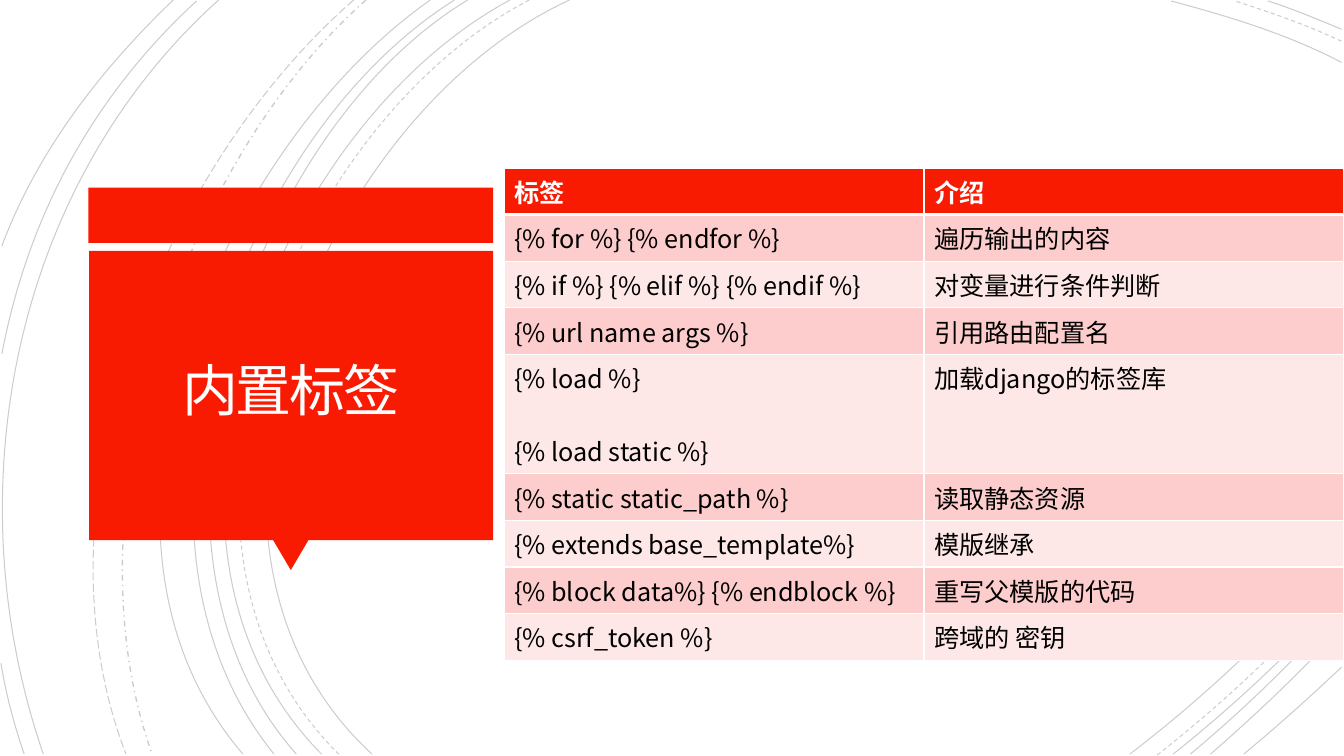
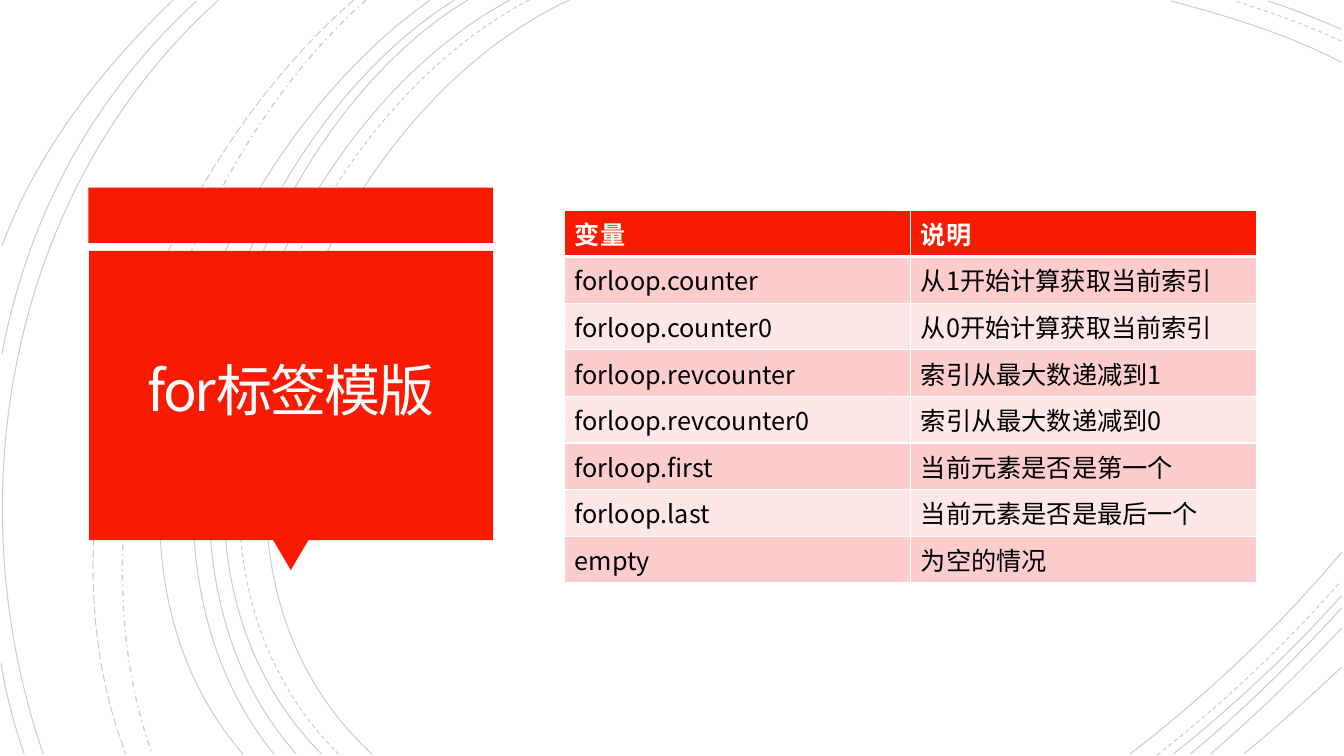
"""Two slides on Django template tags, each a red title card beside a table."""
from lxml.etree import SubElement as Sub
from pptx import Presentation
from pptx.dml.color import RGBColor as Rgb
from pptx.enum.dml import MSO_LINE as Dash
from pptx.enum.shapes import MSO_SHAPE as Kind
from pptx.enum.text import MSO_ANCHOR as Anchor, MSO_AUTO_SIZE as Auto, PP_ALIGN as Align
from pptx.oxml import parse_xml
from pptx.oxml.ns import nsdecls, qn
from pptx.util import Pt

FONT = "Noto Sans CJK SC"
HUES = {"red": "F81B02", "dark": "FCCDCC", "pale": "FEE8E7",
        "white": "FFFFFF", "title": "FFFEFF", "black": "000000"}
ROW = 29.2
GAP = 26

DECK = [
    {"title": "内置标签", "at": (360, 120), "wide": 600, "rows": [
        ("标签", "介绍"),
        ("{% for %} {% endfor %}", "遍历输出的内容"),
        ("{% if %} {% elif %} {% endif %}", "对变量进行条件判断"),
        ("{% url name args %}", "引用路由配置名"),
        ("{% load %}\n{% load static %}", "加载django的标签库"),
        ("{% static static_path %}", "读取静态资源"),
        ("{% extends base_template%}", "模版继承"),
        ("{% block data%} {% endblock %}", "重写父模版的代码"),
        ("{% csrf_token %}", "跨域的 密钥")]},
    {"title": "for标签模版", "at": (403.4, 150), "wide": 494.4, "rows": [
        ("变量", "说明"),
        ("forloop.counter", "从1开始计算获取当前索引"),
        ("forloop.counter0", "从0开始计算获取当前索引"),
        ("forloop.revcounter", "索引从最大数递减到1"),
        ("forloop.revcounter0", "索引从最大数递减到0"),
        ("forloop.first", "当前元素是否是第一个"),
        ("forloop.last", "当前元素是否是最后一个"),
        ("empty", "为空的情况")]},
]

ARCS = {
    (Dash.SOLID, 0.75): [
        ((406.8, 0), (226.8, 82.8), (103, 388.8), (265.7, 538.6)),
        ((958.3, 44.6), (920.2, 24.5), (877, 11.5), (836.6, 0.7)),
        ((807.1, 538.6), (861.8, 496.8), (913.7, 447.8), (958.3, 394.6)),
        ((364.3, 0), (194.4, 91.4), (79.2, 386.6), (229.7, 538.6)),
        ((958.3, 20.9), (941, 13.7), (923.8, 6.5), (905.8, 0.7)),
        ((838.1, 538.6), (880.6, 504.7), (921.6, 466.6), (958.3, 425.5)),
        ((334.1, 0), (175.7, 95.8), (79.2, 389.5), (211.7, 538.6)),
        ((850.3, 538.6), (888.5, 506.9), (924.5, 471.6), (958.3, 434.2)),
        ((324.7, 0), (166.3, 99.4), (69.8, 383.8), (195.8, 538.6)),
        ((864.7, 538.6), (897.1, 510.5), (928.8, 480.2), (958.3, 448.6)),
        ((307.4, 0), (156.2, 105.8), (38.2, 380.9), (173.5, 538.6)),
        ((888.5, 538.6), (912.2, 519.1), (935.3, 498.2), (958.3, 476.6)),
        ((156.2, 0), (7.9, 133.2), (-33.1, 352.8), (31, 538.6)),
        ((140.4, 0.7), (66.2, 69.1), (20.2, 154.1), (1.4, 252.7)),
        ((0.7, 473.8), (4.3, 496.1), (10.1, 517.7), (17.3, 538.6)),
        ((123.8, 0), (72, 49.7), (26.6, 108), (1.4, 175.7))],
    (Dash.DASH, 0.75): [
        ((378, 0), (205.2, 90), (88.6, 386.6), (241.9, 538.6)),
        ((958.3, 29.5), (933.8, 18), (907.2, 8.6), (882, 0.7)),
        ((826.6, 539.3), (873.4, 502.6), (918, 460.8), (957.6, 415.4))],
    (Dash.DASH_DOT, 1): [
        ((261.4, 0), (126.7, 119.5), (46.8, 366.5), (108.7, 538.6))],
    (Dash.LONG_DASH, 0.75): [
        ((252.7, 0), (113, 121.7), (20.9, 359.3), (90, 538.6))],
}

CARD = [
    (Kind.RECTANGLE, (63.1, 134, 289.2, 39.6), 0),
    (Kind.ISOSCELES_TRIANGLE, (195.1, 385.8, 25.2, 21.4), 180),
    (Kind.RECTANGLE, (63.6, 179.3, 288.7, 206.6), 0),
]
TITLE = (69.8, 185, 275.8, 193.7)


def hue(name):
    return Rgb.from_string(HUES[name])


def write(frame, text, size=18, color="black", bold=False, align=None,
          lead=None, gap=0, track=None):
    for i, line in enumerate(text.split("\n")):
        para = frame.add_paragraph() if i else frame.paragraphs[0]
        para.alignment, para.line_spacing = align, lead
        if i:
            para.space_before = Pt(gap)
        run = para.add_run()
        run.text = line
        font = run.font
        font.size, font.bold, font.name = Pt(size), bold, FONT
        font.color.rgb = hue(color)
        props = run._r.get_or_add_rPr()
        props.append(parse_xml(f'<a:ea {nsdecls("a")} typeface="{FONT}"/>'))
        if track:
            props.set("spc", str(int(track * 100)))


def curve(shapes, ends, dash, width):
    dots = [tuple(map(Pt, dot)) for dot in ends]
    pen = shapes.build_freeform(*dots[0], scale=1.0)
    pen.add_line_segments(dots[1:], close=False)
    arc = pen.convert_to_shape()
    trace = arc._element.find(".//" + qn("a:path"))
    legs = trace.findall(qn("a:lnTo"))
    bend = Sub(trace, qn("a:cubicBezTo"))
    for leg in legs:
        bend.append(leg[0])
        trace.remove(leg)
    arc.shadow.inherit = False
    arc.fill.background()
    line = arc.line
    line.color.rgb = hue("black")
    line.width, line.dash_style = Pt(width), dash
    tint = arc._element.spPr.find(qn("a:ln")).find(".//" + qn("a:srgbClr"))
    tint.append(parse_xml(f'<a:alpha {nsdecls("a")} val="20000"/>'))
    return arc


def card(shapes, kind, box, turn):
    part = shapes.add_shape(kind, *map(Pt, box))
    part.shadow.inherit = False
    part.fill.solid()
    part.fill.fore_color.rgb = hue("red")
    part.line.fill.background()
    part.rotation = turn
    return part


def theme(layout, slide):
    for spare in list(layout.placeholders)[1:]:
        spare._element.getparent().remove(spare._element)
    parts = [curve(slide.shapes, ends, *style)
             for style, group in ARCS.items() for ends in group]
    parts += [card(slide.shapes, *spec) for spec in CARD]
    for part in parts:
        layout.shapes._spTree.append(part._element)


def head(slide, text):
    title = slide.shapes.title
    title.left, title.top, title.width, title.height = map(Pt, TITLE)
    frame = title.text_frame
    frame.auto_size, frame.word_wrap = Auto.NONE, True
    frame.vertical_anchor = Anchor.MIDDLE
    frame.margin_left = frame.margin_right = Pt(18)
    frame.margin_top = frame.margin_bottom = Pt(18)
    write(frame, text, size=40, color="title", align=Align.CENTER,
          lead=0.85, track=-1.5)


def edge(cell, row):
    props = cell._tc.get_or_add_tcPr()
    widths = {"L": 1, "R": 1, "T": 3 if row == 1 else 1, "B": 1 if row else 3}
    for i, (side, width) in enumerate(widths.items()):
        props.insert(i, parse_xml(
            f'<a:ln{side} {nsdecls("a")} w="{Pt(width)}"><a:solidFill>'
            f'<a:srgbClr val="{HUES["white"]}"/></a:solidFill></a:ln{side}>'))


def grid(slide, rows, at, wide):
    size = (wide, ROW * len(rows))
    table = slide.shapes.add_table(len(rows), 2, *map(Pt, at + size)).table
    table.horz_banding = False
    for col in table.columns:
        col.width = Pt(wide / 2)
    for i, row in enumerate(rows):
        table.rows[i].height = Pt(ROW)
        for j, text in enumerate(row):
            cell = table.cell(i, j)
            cell.fill.solid()
            cell.fill.fore_color.rgb = hue(("dark" if i % 2 else "pale") if i else "red")
            edge(cell, i)
            write(cell.text_frame, text, color="black" if i else "white",
                  bold=not i, gap=GAP)


deck = Presentation()
deck.slide_width, deck.slide_height = Pt(960), Pt(540)
layout = deck.slide_layouts[5]
for i, page in enumerate(DECK):
    slide = deck.slides.add_slide(layout)
    if not i:
        theme(layout, slide)
    head(slide, page["title"])
    grid(slide, page["rows"], page["at"], page["wide"])
deck.save("out.pptx")
